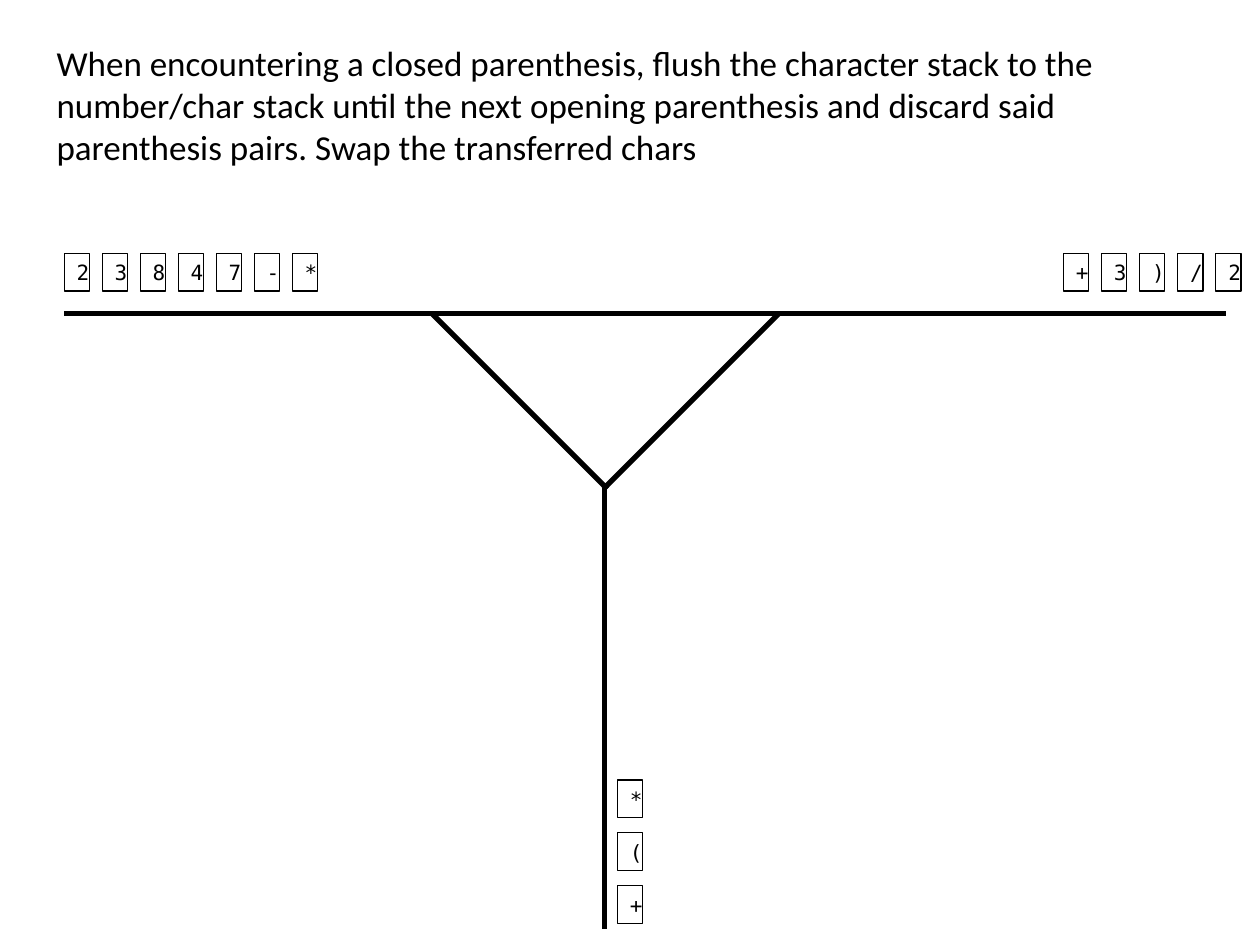
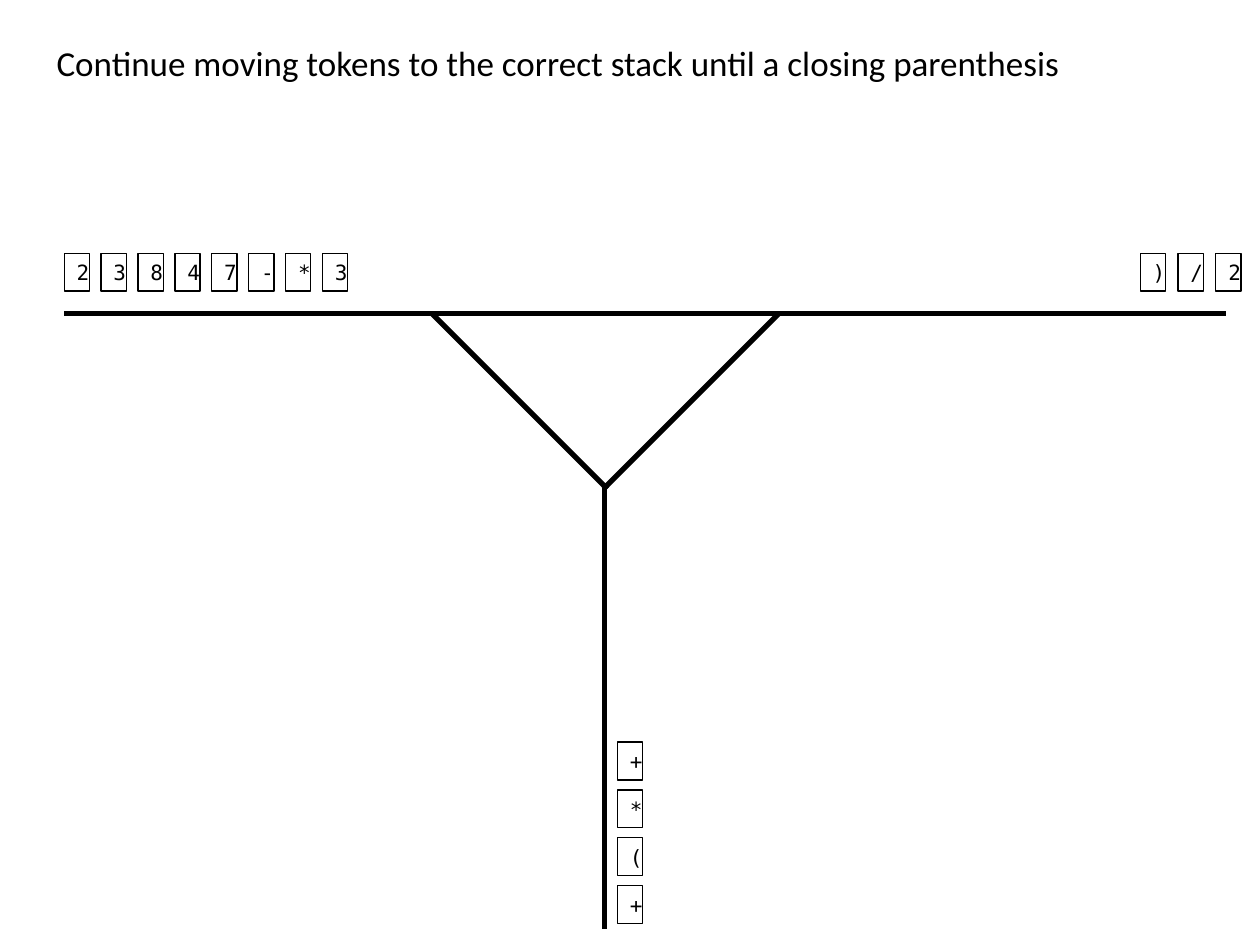
from dataclasses import dataclass

from lxml.etree import SubElement
from pptx import Presentation
from pptx.dml.color import RGBColor
from pptx.enum.shapes import MSO_CONNECTOR, MSO_SHAPE
from pptx.enum.text import MSO_ANCHOR, MSO_AUTO_SIZE, PP_ALIGN
from pptx.oxml.ns import qn
from pptx.util import Inches, Pt


@dataclass(frozen=True)
class Theme:
    ink: RGBColor = RGBColor(0, 0, 0)
    body: str = "Calibri"
    mono: str = "DejaVu Sans Mono"
    note: Pt = Pt(20)
    token: Pt = Pt(12)
    rail: Pt = Pt(3)
    edge: Pt = Pt(0.75)


theme = Theme()


def write(shape, text, face, size):
    frame = shape.text_frame
    frame.text = text
    frame.word_wrap = True
    frame.auto_size = MSO_AUTO_SIZE.SHAPE_TO_FIT_TEXT
    font = frame.paragraphs[0].runs[0].font
    font.name, font.size = face, size
    font.color.rgb = theme.ink


def spread(slide, tokens, first, last):
    """Space token boxes evenly, their top left corners running from first to last."""
    for i, token in enumerate(tokens):
        part = i / (len(tokens) - 1)
        left, top = (a + (b - a) * part for a, b in zip(first, last))
        box = slide.shapes.add_shape(MSO_SHAPE.RECTANGLE, Inches(left), Inches(top),
                                     Inches(0.2), Inches(0.3))
        box.shadow.inherit = False
        box.fill.background()
        box.line.color.rgb = theme.ink
        box.line.width = theme.edge
        write(box, token, theme.mono, theme.token)
        box.text_frame.vertical_anchor = MSO_ANCHOR.MIDDLE
        box.text_frame.paragraphs[0].alignment = PP_ALIGN.CENTER


# The Y-shaped track: x and y of each end
rails = [
    (9.73, 2.49, 0.51, 2.49),
    (3.43, 2.49, 4.82, 3.88),
    (6.18, 2.49, 4.79, 3.88),
    (4.8, 3.83, 4.8, 7.37),
]

# Note, note height, output tokens and last x, input tokens and first x,
# stack from the bottom up and its top y
steps = [
    ("When encountering a closed parenthesis, flush the character stack to the "
     "number/char stack until the next opening parenthesis and discard said "
     "parenthesis pairs. Swap the transferred chars",
     1.1, "23847-*", 2.32, "+3)/2", 8.44, "+(*", 6.19),
    ("Continue moving tokens to the correct stack until a closing parenthesis",
     0.44, "23847-*3", 2.56, ")/2", 9.05, "+(*+", 5.89),
]

deck = Presentation()
deck.slide_width, deck.slide_height = Inches(10), Inches(7.5)

for note, height, output, end, queue, start, stack, top in steps:
    slide = deck.slides.add_slide(deck.slide_layouts[6])
    label = slide.shapes.add_textbox(Inches(0.35), Inches(0.28),
                                     Inches(9.29), Inches(height))
    write(label, note, theme.body, theme.note)

    for ends in rails:
        rail = slide.shapes.add_connector(MSO_CONNECTOR.STRAIGHT, *map(Inches, ends))
        rail.line.color.rgb = theme.ink
        rail.line.width = theme.rail
        SubElement(rail._element.spPr, qn("a:effectLst"))

    spread(slide, output, (0.51, 2.01), (end, 2.01))
    spread(slide, queue, (start, 2.01), (9.65, 2.01))
    spread(slide, stack, (4.9, 7.03), (4.9, top))

deck.save("out.pptx")
